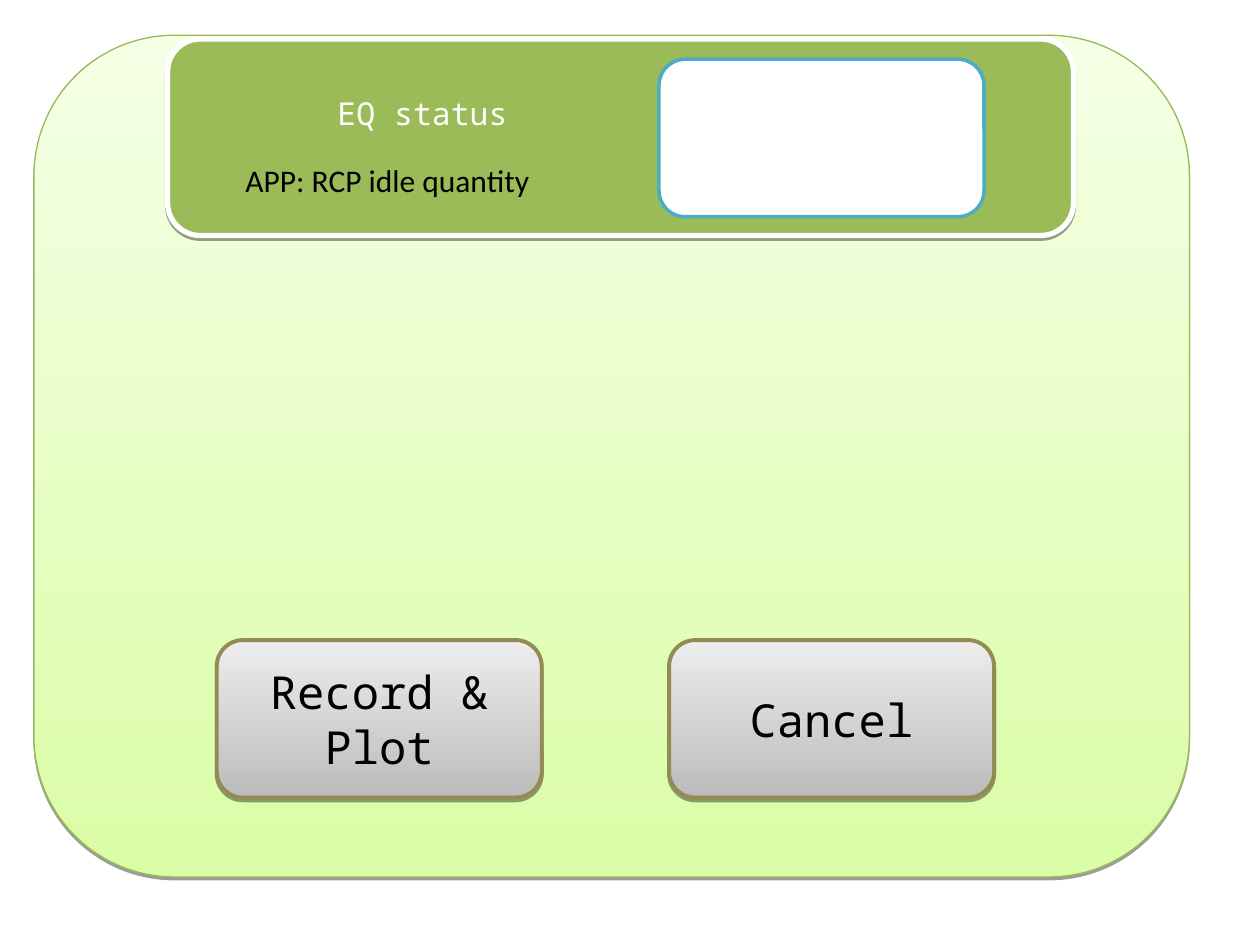
"""Build the EQ status panel slide with its two buttons."""
from pptx import Presentation
from pptx.dml.color import RGBColor
from pptx.enum.shapes import MSO_SHAPE
from pptx.enum.text import MSO_ANCHOR, MSO_AUTO_SIZE, PP_ALIGN
from pptx.oxml import parse_xml
from pptx.oxml.ns import nsdecls, qn
from pptx.util import Inches, Pt

COLORS = {
    "panel_bottom": "DAFDA7", "panel_top": "F5FFE6", "panel_line": "98B954",
    "header": "9BBB59", "white": "FFFFFF", "black": "000000",
    "button_bottom": "BCBCBC", "button_top": "EDEDED", "button_line": "948A54",
    "display_line": "4BACC6",
}
MONO, SANS = "Noto Sans Mono", "Calibri"
BUTTON_SIZE = (2.58, 1.25)
BUTTON_TOP, BUTTON_LEFT, BUTTON_STEP = 5.08, 1.72, 3.59

BUTTONS = ["Record & Plot", "Cancel"]
LABELS = [
    ("EQ status", (2.58, 0.7, 1.56, 0.4), MONO, "white"),
    ("APP: RCP idle quantity", (1.85, 1.23, 2.54, 0.4), SANS, "black"),
]
PANEL = ((0.27, 0.28, 9.17, 6.68), ("panel_bottom", "panel_top"), "panel_line", 0.75)
HEADER = ((1.33, 0.31, 7.19, 1.56), ("header",), "white", 3)
DISPLAY = ((5.23, 0.47, *BUTTON_SIZE), ("white",), "display_line", 2)


def color(name):
    return RGBColor.from_string(COLORS[name])


def add_shadow(shape):
    effects = shape.element.spPr.find(qn("a:effectLst"))
    effects.append(parse_xml(
        f'<a:outerShdw {nsdecls("a")} blurRad="0" dist="{Pt(1.6)}" dir="5400000" rotWithShape="0">'
        f'<a:srgbClr val="{COLORS["black"]}"><a:alpha val="38000"/></a:srgbClr></a:outerShdw>'))


def add_box(slide, place, fills, line, width, shadow=True):
    shape = slide.shapes.add_shape(MSO_SHAPE.ROUNDED_RECTANGLE, *map(Inches, place))
    shape.shadow.inherit = False
    if len(fills) == 1:
        shape.fill.solid()
        shape.fill.fore_color.rgb = color(fills[0])
    else:
        shape.fill.gradient()
        shape.fill.gradient_angle = 90
        for position, (stop, name) in enumerate(zip(shape.fill.gradient_stops, fills)):
            stop.position = position
            stop.color.rgb = color(name)
    shape.line.color.rgb = color(line)
    shape.line.width = Pt(width)
    if shadow:
        add_shadow(shape)
    return shape


def write(shape, text, font, size, text_color, alignment, frame_format):
    frame = shape.text_frame
    for name, value in frame_format.items():
        setattr(frame, name, value)
    paragraph = frame.paragraphs[0]
    paragraph.text = text
    paragraph.alignment = alignment
    for name, value in {"name": font, "size": Pt(size)}.items():
        setattr(paragraph.font, name, value)
    paragraph.font.color.rgb = color(text_color)


def main():
    presentation = Presentation()
    presentation.slide_width, presentation.slide_height = Inches(10), Inches(7.5)
    slide = presentation.slides.add_slide(presentation.slide_layouts[6])

    add_box(slide, *PANEL)
    add_box(slide, *HEADER)
    for index, text in enumerate(BUTTONS):
        place = (BUTTON_LEFT + index * BUTTON_STEP, BUTTON_TOP, *BUTTON_SIZE)
        button = add_box(slide, place, ("button_bottom", "button_top"), "button_line", 2.25)
        write(button, text, MONO, 26, "black", PP_ALIGN.CENTER,
              {"word_wrap": True, "vertical_anchor": MSO_ANCHOR.MIDDLE})
    add_box(slide, *DISPLAY, shadow=False)
    for text, place, font, text_color in LABELS:
        label = slide.shapes.add_textbox(*map(Inches, place))
        write(label, text, font, 18, text_color, PP_ALIGN.LEFT,
              {"word_wrap": False, "auto_size": MSO_AUTO_SIZE.SHAPE_TO_FIT_TEXT})

    presentation.save("out.pptx")


if __name__ == "__main__":
    main()
